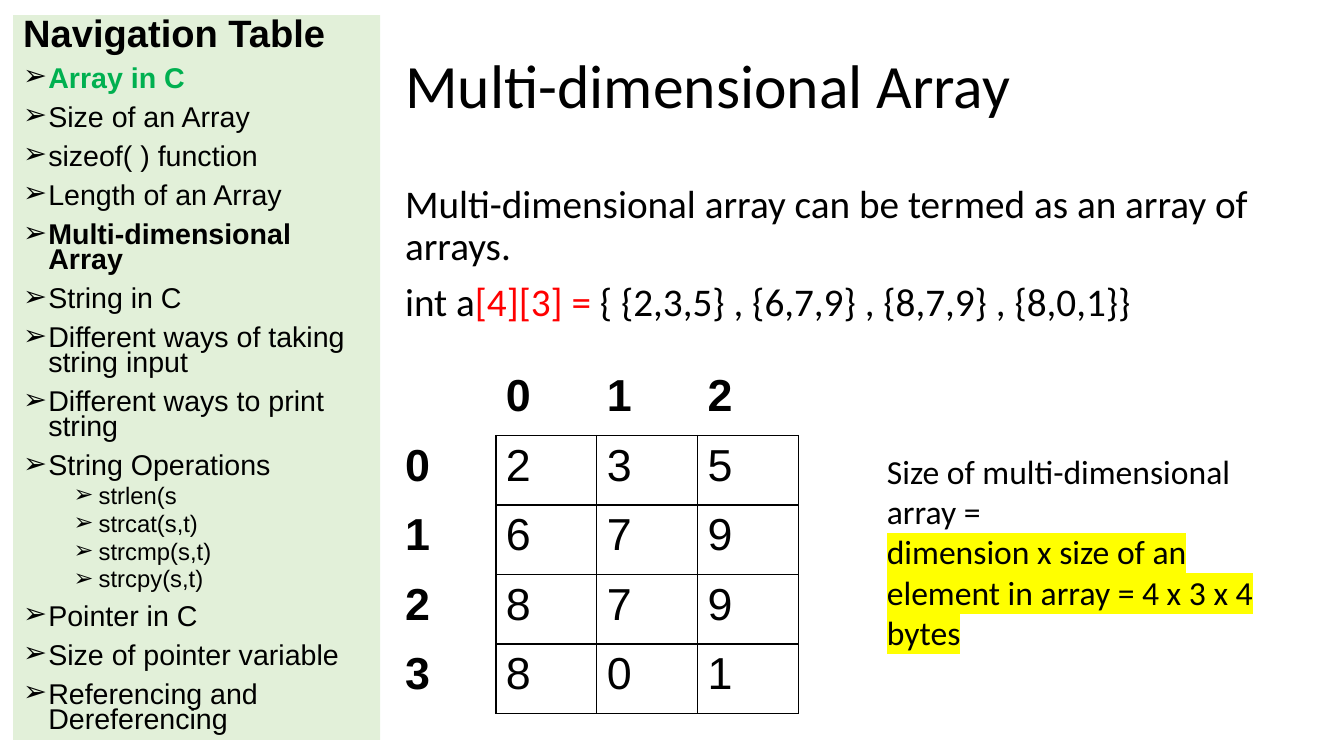
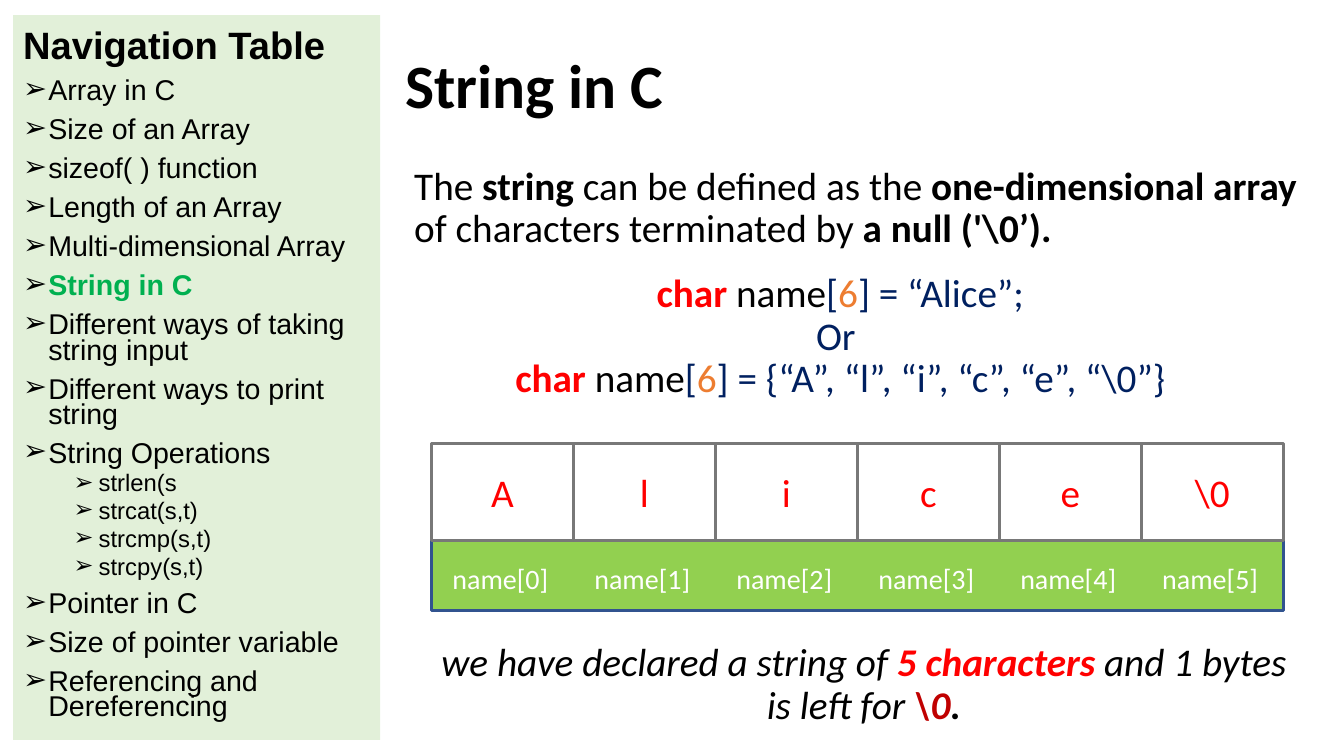
from dataclasses import dataclass
from typing import NamedTuple

from lxml import etree
from pptx import Presentation, util as u
from pptx.dml import color
from pptx.enum import shapes, text
from pptx.oxml import ns


@dataclass(frozen=True)
class Theme:
    ink: str = "000000"
    paper: str = "FFFFFF"
    panel: str = "E2F0D9"
    here: str = "00B050"
    red: str = "FF0000"
    dark: str = "C00000"
    navy: str = "002060"
    warm: str = "ED7D31"
    mark: str = "FFFF00"
    lime: str = "92D050"
    edge: str = "31538F"
    gray: str = "787878"
    sans: str = "Calibri"
    nav: str = "Arial"
    title: float = 44
    body: float = 28
    note: float = 24
    cell: float = 32
    label: float = 20
    head: float = 27.2
    item: float = 20.4
    sub: float = 17
    tight: float = 0.9
    dense: float = 0.73


T = Theme()
LEFT, MID = text.PP_ALIGN.LEFT, text.PP_ALIGN.CENTER


class Box(NamedTuple):
    x: float
    y: float
    w: float
    h: float

    def area(self, x, y, w, h):
        return Box(int(self.x + self.w * x / 100), int(self.y + self.h * y / 100),
                   int(self.w * w / 100), int(self.h * h / 100))

    def col(self, i, n):
        return self.area(100 * i / n, 0, 100 / n, 100)


PAGE = Box(0, 0, u.Inches(13.33), u.Inches(7.5))

NAV = [
    ("Array in C", 0), ("Size of an Array", 0), ("sizeof( ) function", 0),
    ("Length of an Array", 0), ("Multi-dimensional Array", 0), ("String in C", 0),
    ("Different ways of taking string input", 0),
    ("Different ways to print string", 0), ("String Operations", 0),
    ("strlen(s", 1), ("strcat(s,t)", 1), ("strcmp(s,t)", 1), ("strcpy(s,t)", 1),
    ("Pointer in C", 0), ("Size of pointer variable", 0),
    ("Referencing and Dereferencing", 0),
]


def rgb(tone):
    return color.RGBColor.from_string(tone)


def node(root, tag, **attrs):
    return etree.SubElement(root, ns.qn("a:" + tag), attrs)


def style(run, size, tone=T.ink, bold=False, face=T.sans, slant=False):
    font = run.font
    font.size, font.bold, font.italic, font.name = u.Pt(size), bold, slant, face
    font.color.rgb = rgb(tone)


def shade(run, tone):
    mark = etree.Element(ns.qn("a:highlight"))
    node(mark, "srgbClr", val=tone)
    run._r.get_or_add_rPr().find(ns.qn("a:solidFill")).addnext(mark)


def write(frame, paras, size, align=LEFT, lead=T.tight, gap=0, slant=False):
    frame.word_wrap = True
    for i, pieces in enumerate(paras):
        para = frame.add_paragraph() if i else frame.paragraphs[0]
        para.alignment, para.line_spacing = align, lead
        para.space_before = u.Pt(gap if i else 0)
        for words, tone, bold in pieces:
            run = para.add_run()
            run.text = words
            style(run, size, tone, bold, slant=slant)


def note(group, box, paras, size, **opts):
    frame = group.add_textbox(*box).text_frame
    write(frame, paras, size, **opts)
    return frame


def block(group, box, fill, line=None):
    shape = group.add_shape(shapes.MSO_SHAPE.RECTANGLE, *box)
    shape.shadow.inherit = False
    shape.fill.solid()
    shape.fill.fore_color.rgb = rgb(fill)
    if line:
        shape.line.color.rgb = rgb(line)
        shape.line.width = u.Pt(2.25)
    else:
        shape.line.fill.background()
    shape.text_frame.vertical_anchor = text.MSO_ANCHOR.MIDDLE
    return shape


def bullet(para, level):
    props = para._p.get_or_add_pPr()
    props.set("marL", str(u.Inches(0.25 + 0.5 * level)))
    props.set("indent", str(u.Inches(-0.25)))
    node(node(props, "buClr"), "srgbClr", val=T.ink)
    node(props, "buFont", typeface=T.nav)
    node(props, "buChar", char="➢")


def panel(slide, box, here, bold):
    frame = block(slide.shapes, box, T.panel).text_frame
    frame.word_wrap = True
    frame.text = "\n".join(["Navigation Table"] + [name for name, _ in NAV])
    for para in frame.paragraphs:
        para.alignment, para.line_spacing = LEFT, T.dense
    head, *items = frame.paragraphs
    head.space_before = u.Pt(0)
    style(head.runs[0], T.head, bold=True, face=T.nav)
    for para, (name, level) in zip(items, NAV):
        para.level = level
        para.space_before = u.Pt(5 if level else 10)
        bullet(para, level)
        style(para.runs[0], T.sub if level else T.item,
              T.here if name == here else T.ink, name in (here, bold), T.nav)


def base(deck, name, here, bold=None, strong=False):
    slide = deck.slides.add_slide(deck.slide_layouts[5])
    panel(slide, PAGE.area(0.98, 2, 27.3, 95.87), here, bold)
    title = slide.shapes.title
    title.left, title.top, title.width, title.height = PAGE.area(29.4, 2, 66.9, 19.33)
    title.text_frame.vertical_anchor = text.MSO_ANCHOR.MIDDLE
    write(title.text_frame, [[(name, T.ink, strong)]], T.title)
    return slide


def edges(cell, **sides):
    props = cell._tc.get_or_add_tcPr()
    for side, drawn in sides.items():
        line = node(props, "ln" + side, w=str(u.Pt(1)))
        if drawn:
            node(node(line, "solidFill"), "srgbClr", val=T.ink)
        else:
            node(line, "noFill")
    cell.fill.background()


def matrix(slide, box, data):
    rows = [["", *range(len(data[0]))]] + [[i, *row] for i, row in enumerate(data)]
    table = slide.shapes.add_table(len(rows), len(rows[0]), *box).table
    table.first_row = table.horz_banding = False
    for r, row in enumerate(rows):
        for c, value in enumerate(row):
            cell = table.cell(r, c)
            cell.text = str(value)
            for run in cell.text_frame.paragraphs[0].runs:
                style(run, T.cell, bold=not (r and c), face=T.nav)
            inner = r > 0 and c > 0
            edges(cell, L=inner, R=r > 0, T=inner, B=c > 0)


def strip(slide, box, marks):
    group = slide.shapes.add_group_shape().shapes
    block(group, box.area(0, 57.83, 100, 42.17), T.lime, T.edge)
    for i, mark in enumerate(marks):
        col = box.col(i, len(marks))
        tile = block(group, col.area(0, 0, 100, 57.83), T.paper, T.gray)
        write(tile.text_frame, [[(mark, T.red, False)]], T.body, align=MID, lead=1)
        note(group, col.area(7.8, 67.77, 92.2, 26.5),
             [[(f"name[{i}]", T.paper, False)]], T.label, lead=1)


def code(value):
    return [("char ", T.red, True), ("name", T.ink, False), ("[", T.navy, False),
            ("6", T.warm, False), (f"] = {value}", T.navy, False)]


def arrays(deck):
    slide = base(deck, "Multi-dimensional Array", "Array in C", "Multi-dimensional Array")
    note(slide.shapes, PAGE.area(29.4, 23.73, 66.9, 63.47), [
        [("Multi-dimensional array can be termed as an array of arrays.", T.ink, False)],
        [("int a", T.ink, False), ("[4][3] =", T.red, False),
         (" { {2,3,5} , {6,7,9} , {8,7,9} , {8,0,1}}", T.ink, False)],
    ], T.body, gap=10)
    matrix(slide, PAGE.area(29.4, 48.4, 30, 46),
           [(2, 3, 5), (6, 7, 9), (8, 7, 9), (8, 0, 1)])
    size = note(slide.shapes, PAGE.area(65.25, 58.93, 29.1, 28.27), [
        [("Size of multi-dimensional array =", T.ink, False)],
        [("dimension x size of an element in array = 4 x 3 x 4 bytes", T.ink, False)],
    ], T.note, lead=1)
    shade(size.paragraphs[1].runs[0], T.mark)


def strings(deck):
    slide = base(deck, "String in C", "String in C", strong=True)
    note(slide.shapes, PAGE.area(30.08, 21.33, 67.43, 65.87), [[
        ("The ", T.ink, False), ("string ", T.ink, True),
        ("can be defined as the ", T.ink, False),
        ("one-dimensional array", T.ink, True),
        (" of characters terminated by ", T.ink, False),
        ("a null ('\\0’).", T.ink, True),
    ]], T.body)
    note(slide.shapes, PAGE.area(28.8, 35.6, 67.43, 19.33), [
        code("“Alice”;"),
        [("Or ", T.navy, False)],
        code("{“A”, “l”, “i”, “c”, “e”, “\\0”}"),
    ], T.body, align=MID)
    strip(slide, PAGE.area(32.1, 58.67, 63.38, 22.13), [*"Alice", "\\0"])
    note(slide.shapes, PAGE.area(31.05, 84.4, 66.45, 5.07), [[
        ("we have declared a string of ", T.ink, False),
        ("5 characters ", T.red, True),
        ("and 1 bytes is left for ", T.ink, False),
        ("\\0", T.dark, True), (".", T.ink, True),
    ]], T.body, align=MID, slant=True)


def main():
    deck = Presentation()
    deck.slide_width, deck.slide_height = PAGE.w, PAGE.h
    arrays(deck)
    strings(deck)
    deck.save("out.pptx")


if __name__ == "__main__":
    main()
